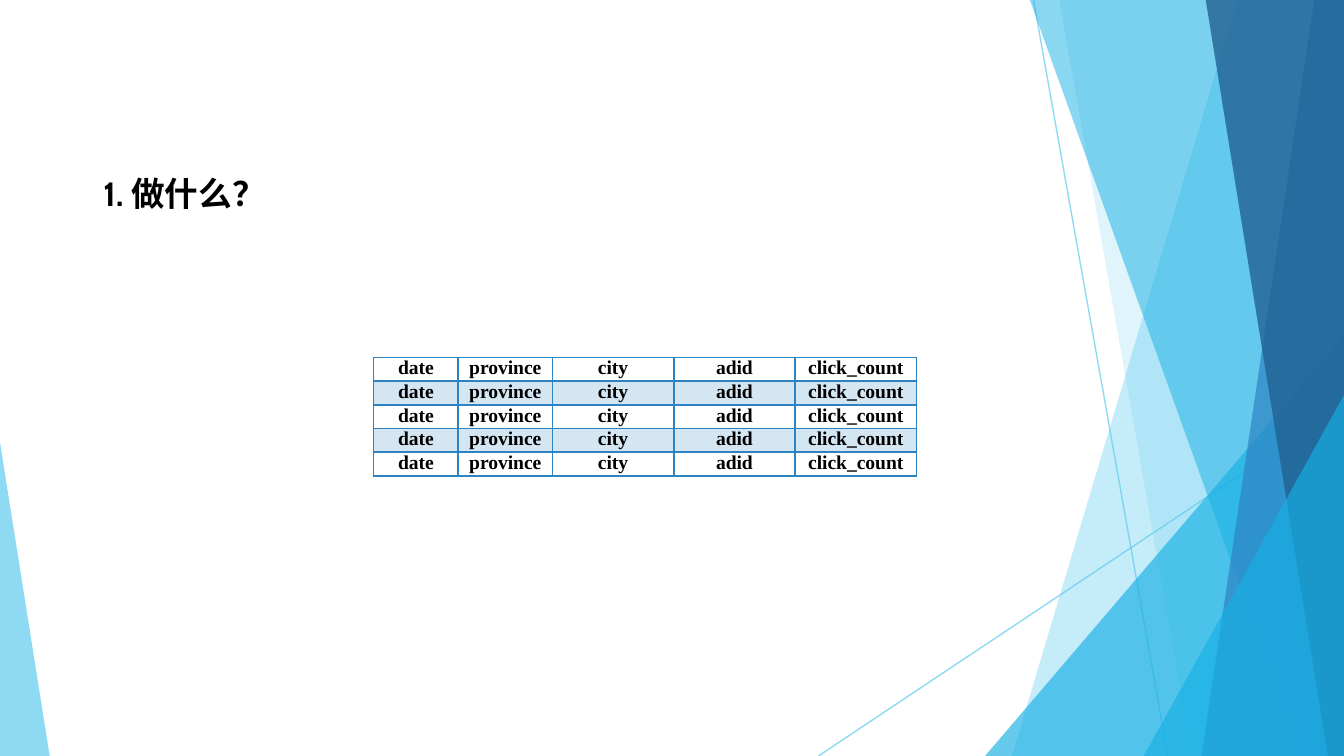
from lxml import etree
from pptx import Presentation, util as u
from pptx.dml.color import RGBColor
from pptx.enum import shapes as sh, text as tx
from pptx.oxml.ns import qn

BLACK = RGBColor(0, 0, 0)
SKY = RGBColor(0x5F, 0xCB, 0xEF)
CYAN = RGBColor(0x17, 0xB0, 0xE4)
BLUE = RGBColor(0x2E, 0x83, 0xC3)
NAVY = RGBColor(0x22, 0x62, 0x92)
WIDE = 10
HIGH = WIDE * 9 / 16
FIELDS = ["date", "province", "city", "adid", "click_count"]
SLIM = [0.63, 0.7]
ROWS = 5


def fade(props, alpha):
    """Give the solid fill inside an element an opacity in percent."""
    color = next(props.iter(qn("a:srgbClr")))
    etree.SubElement(color, qn("a:alpha"), val=str(alpha * 1000))


def paint(shape, color, alpha):
    """Fill a shape with a see-through colour and no outline."""
    shape.shadow.inherit = False
    shape.fill.solid()
    shape.fill.fore_color.rgb = color
    fade(shape._element.spPr.find(qn("a:solidFill")), alpha)
    shape.line.fill.background()


def write(frame, words, font, size, align=tx.PP_ALIGN.LEFT, bold=True, color=BLACK):
    """Put one formatted paragraph in a text frame."""
    para = frame.paragraphs[0]
    para.alignment = align
    run = para.add_run()
    run.text = words
    run.font.name, run.font.size = font, u.Pt(size)
    run.font.bold, run.font.color.rgb = bold, color


def add_ray(slide, start, end):
    """Draw a thin pale line between two points."""
    ends = [u.Inches(v) for v in (*start, *end)]
    ray = slide.shapes.add_connector(sh.MSO_CONNECTOR.STRAIGHT, *ends)
    ray.line.color.rgb, ray.line.width = SKY, u.Pt(0.75)
    props = ray._element.spPr
    fade(props, 70)
    etree.SubElement(props, qn("a:effectLst"))


def add_band(slide, top, foot, color, alpha):
    """Draw a full-height band from a slanted left edge to the slide's right side."""
    points = [(top, -0.01), (WIDE, -0.01), (WIDE, HIGH), (foot, HIGH)]
    points = [(u.Inches(x), u.Inches(y)) for x, y in points]
    build = slide.shapes.build_freeform(*points[0], scale=1.0)
    build.add_line_segments(points[1:], close=True)
    paint(build.convert_to_shape(), color, alpha)


def add_wedge(slide, left, top, width, peak, color, alpha):
    """Draw a triangle that stands on the slide's lower edge."""
    box = [u.Inches(v) for v in (left, top, width, HIGH - top)]
    wedge = slide.shapes.add_shape(sh.MSO_SHAPE.ISOSCELES_TRIANGLE, *box)
    wedge.adjustments[0] = peak
    paint(wedge, color, alpha)


def add_decor(slide):
    """Layer the lines, bands and wedges from back to front."""
    add_ray(slide, (7.69, 0), (8.69, HIGH))
    add_ray(slide, (WIDE, 3.02), (6.09, HIGH))
    add_band(slide, 9.21, 7.53, SKY, 36)
    add_band(slide, 7.88, 8.87, SKY, 20)
    add_wedge(slide, 7.33, 2.5, 2.67, 1, CYAN, 66)
    add_band(slide, 7.66, 9.68, CYAN, 50)
    add_band(slide, 9.78, 8.94, BLUE, 70)
    add_band(slide, 8.97, 9.88, NAVY, 80)
    add_wedge(slide, 8.51, 2.94, 1.49, 1, CYAN, 66)
    add_wedge(slide, 0, 3.29, 0.37, 0, SKY, 70)


def add_title(slide, left, top, width, height):
    """Place and format the heading."""
    title = slide.shapes.title
    title.left, title.top = u.Inches(left), u.Inches(top)
    title.width, title.height = u.Inches(width), u.Inches(height)
    frame = title.text_frame
    frame.word_wrap = False
    frame.auto_size = tx.MSO_AUTO_SIZE.SHAPE_TO_FIT_TEXT
    frame.vertical_anchor = tx.MSO_ANCHOR.TOP
    write(frame, "1. 做什么？", "Cabin", 18)


def edge(cell, thick):
    """Draw the four borders of a cell, with a given lower width in points."""
    props = cell._tc.get_or_add_tcPr()
    sides = {"lnL": 1, "lnR": 1, "lnT": 1, "lnB": thick}
    for spot, (side, width) in enumerate(sides.items()):
        line = etree.Element(qn(f"a:{side}"), w=str(u.Pt(width)))
        fill = etree.SubElement(line, qn("a:solidFill"))
        etree.SubElement(fill, qn("a:srgbClr"), val=str(BLUE))
        props.insert(spot, line)


def add_grid(slide, left, top, width, height):
    """Build the table of click records with shaded alternate rows."""
    box = [u.Inches(v) for v in (left, top, width, height)]
    grid = slide.shapes.add_table(ROWS, len(FIELDS), *box).table
    grid.first_row = grid.horz_banding = False
    rest = len(FIELDS) - len(SLIM)
    spans = SLIM + [(width - sum(SLIM)) / rest] * rest
    for col, span in zip(grid.columns, spans):
        col.width = u.Inches(span)
    for r, row in enumerate(grid.rows):
        row.height = u.Inches(height / ROWS)
        for cell, field in zip(row.cells, FIELDS):
            cell.margin_left = cell.margin_right = u.Inches(0.07)
            cell.margin_top = cell.margin_bottom = 0
            write(cell.text_frame, field, "Times New Roman", 10.5, tx.PP_ALIGN.CENTER)
            if r % 2:
                cell.fill.solid()
                cell.fill.fore_color.rgb = BLUE
                fade(cell._tc.tcPr, 20)
            else:
                cell.fill.background()
            edge(cell, 1 if r else 1.5)


def main():
    """Build and save the slide."""
    deck = Presentation()
    deck.slide_width, deck.slide_height = u.Inches(WIDE), u.Inches(HIGH)
    slide = deck.slides.add_slide(deck.slide_layouts[5])
    add_decor(slide)
    add_title(slide, 0.67, 1.24, 1.42, 0.4)
    add_grid(slide, 2.78, 2.66, 4.04, 0.88)
    deck.save("out.pptx")


if __name__ == "__main__":
    main()
